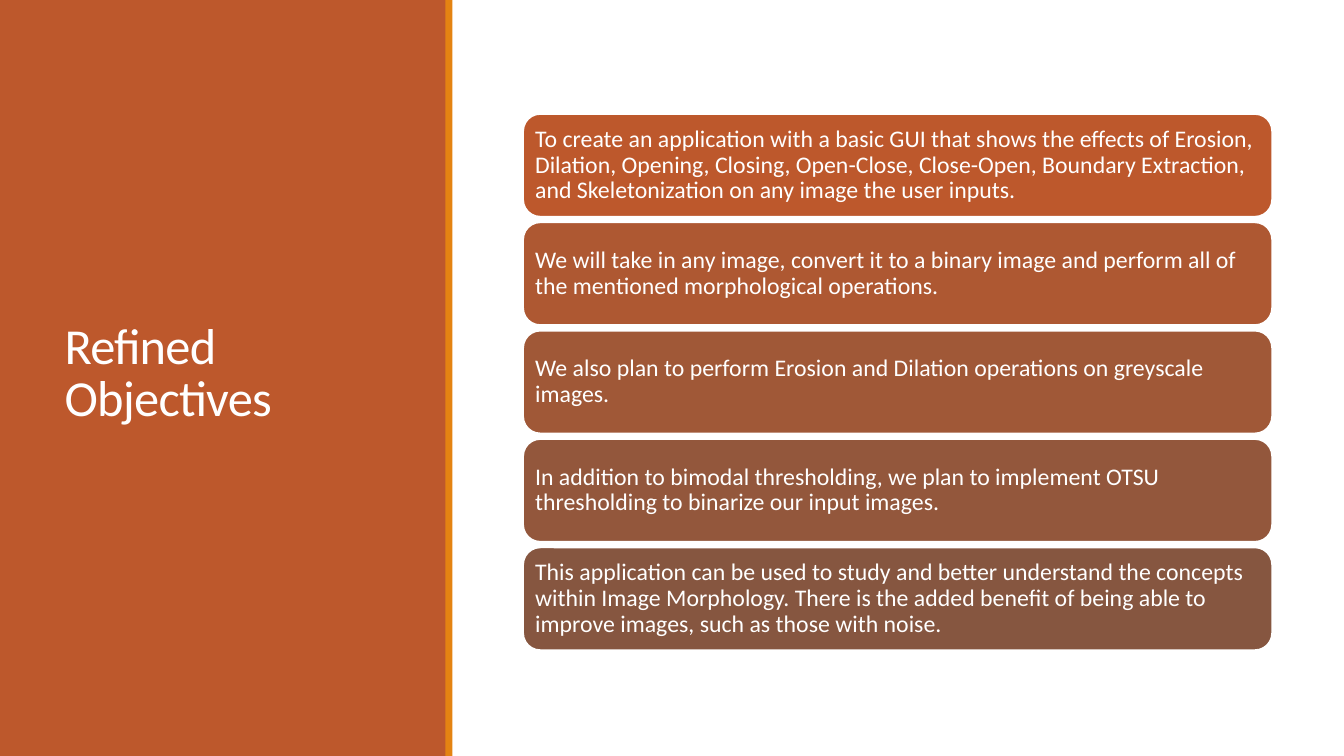
"""Build the Refined Objectives slide: a title panel beside five stacked cards."""
from pptx import Presentation
from pptx.dml.color import RGBColor
from pptx.enum.shapes import MSO_SHAPE as Shape
from pptx.enum.text import MSO_ANCHOR as Anchor, PP_ALIGN as Align
from pptx.util import Pt

WHITE, RUST, ORANGE = "FFFFFF", "BD582C", "E48312"
CARD_TOP, CARD_PITCH = 81.4, 77.4

objectives = [
    ("To create an application with a basic GUI that shows the effects of Erosion, "
     "Dilation, Opening, Closing, Open-Close, Close-Open, Boundary Extraction, "
     "and Skeletonization on any image the user inputs.", RUST),
    ("We will take in any image, convert it to a binary image and perform all of "
     "the mentioned morphological operations.", "AE5832"),
    ("We also plan to perform Erosion and Dilation operations on greyscale images.", "A05837"),
    ("In addition to bimodal thresholding, we plan to implement OTSU "
     "thresholding to binarize our input images.", "93573C"),
    ("This application can be used to study and better understand the concepts "
     "within Image Morphology. There is the added benefit of being able to "
     "improve images, such as those with noise.", "865640"),
]

presentation = Presentation()
presentation.slide_width, presentation.slide_height = Pt(960), Pt(540)
slide = presentation.slides.add_slide(presentation.slide_layouts[6])


def add_block(kind, left, top, width, height, fill, line=None):
    shape = slide.shapes.add_shape(kind, Pt(left), Pt(top), Pt(width), Pt(height))
    shape.shadow.inherit = False
    shape.fill.solid()
    shape.fill.fore_color.rgb = RGBColor.from_string(fill)
    if line:
        shape.line.color.rgb = RGBColor.from_string(line)
        shape.line.width = Pt(1.25)
    else:
        shape.line.fill.background()
    return shape


def write_text(shape, text, size, line_spacing, inset_x, inset_y, tracking=0):
    frame = shape.text_frame
    frame.word_wrap = True
    frame.vertical_anchor = Anchor.MIDDLE
    frame.margin_left = frame.margin_right = Pt(inset_x)
    frame.margin_top = frame.margin_bottom = Pt(inset_y)
    paragraph = frame.paragraphs[0]
    paragraph.alignment = Align.LEFT
    paragraph.line_spacing = line_spacing
    run = paragraph.add_run()
    run.text = text
    run.font.name = "Calibri"
    run.font.size = Pt(size)
    run.font.color.rgb = RGBColor.from_string(WHITE)
    if tracking:
        run.font._element.set("spc", str(int(tracking * 100)))


add_block(Shape.RECTANGLE, 0, 0, 319, 540, RUST)
add_block(Shape.RECTANGLE, 318.2, 0, 5, 540, ORANGE)
title = slide.shapes.add_textbox(Pt(39), Pt(41), Pt(243), Pt(454))
write_text(title, "Refined Objectives", size=36, line_spacing=0.85,
           inset_x=7.2, inset_y=3.6, tracking=-0.5)

for index, (objective, color) in enumerate(objectives):
    card = add_block(Shape.ROUNDED_RECTANGLE, 373.7, CARD_TOP + index * CARD_PITCH,
                     535, 73.4, color, line=WHITE)
    write_text(card, objective, size=17, line_spacing=0.9, inset_x=5, inset_y=5)

presentation.save("out.pptx")
